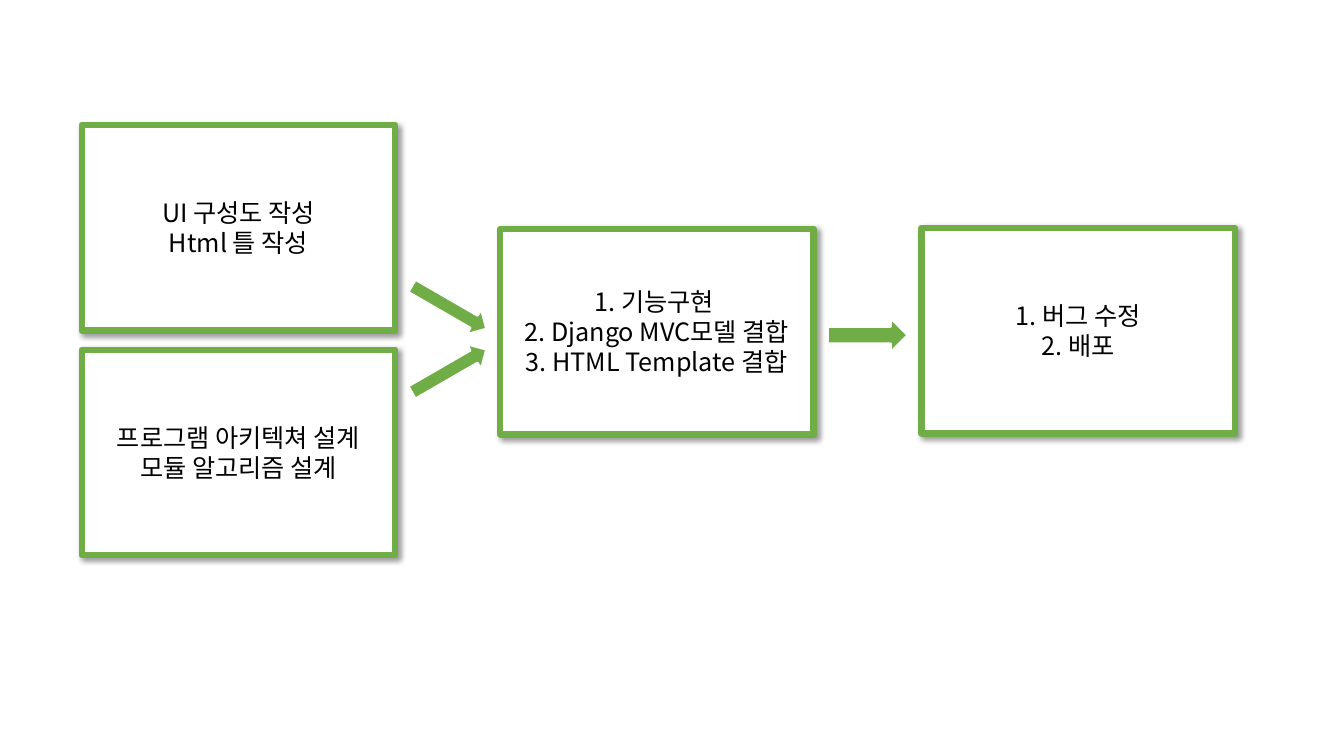
from dataclasses import dataclass

from lxml import etree
from pptx import Presentation
from pptx import util as u
from pptx.dml.color import RGBColor
from pptx.enum import shapes, text
from pptx.oxml.ns import qn


@dataclass(frozen=True)
class Theme:
    green: RGBColor = RGBColor(0x70, 0xAD, 0x47)
    white: RGBColor = RGBColor(0xFF, 0xFF, 0xFF)
    ink: RGBColor = RGBColor(0, 0, 0)
    font: str = "Noto Sans CJK KR"
    body: u.Pt = u.Pt(18)
    frame: u.Pt = u.Pt(4.5)
    outline: u.Pt = u.Pt(1.5)


THEME = Theme()

# The slide is a grid of 100 columns by 100 rows
WIDTH, HEIGHT = u.Inches(13.33), u.Inches(7.5)
COLUMN, ROW = WIDTH / 100, HEIGHT / 100
CARD_SIZE = (23.33, 27.2)
MERGE_SIZE = (6.38, 3.73)
NEXT_SIZE = (5.93, 4.4)


def add_block(page, kind, place, size, fill, line, weight):
    """Add a preset shape at a grid place."""
    left, top = place
    columns, rows = size
    block = page.shapes.add_shape(
        kind, round(left * COLUMN), round(top * ROW), round(columns * COLUMN), round(rows * ROW))
    block.shadow.inherit = False
    block.fill.solid()
    block.fill.fore_color.rgb = fill
    block.line.color.rgb = line
    block.line.width = weight
    return block


def add_shadow(block):
    """Cast a soft shadow to the lower right."""
    effects = block._element.spPr.find(qn("a:effectLst"))
    shadow = etree.SubElement(
        effects, qn("a:outerShdw"), blurRad=str(u.Pt(4)), dist=str(u.Pt(3)),
        dir=str(45 * 60000), algn="tl", rotWithShape="0")
    color = etree.SubElement(shadow, qn("a:srgbClr"), val=str(THEME.ink))
    etree.SubElement(color, qn("a:alpha"), val="40000")


def add_card(page, place, lines):
    """Add a framed card with centred lines."""
    card = add_block(page, shapes.MSO_SHAPE.RECTANGLE, place, CARD_SIZE,
                     THEME.white, THEME.green, THEME.frame)
    add_shadow(card)
    frame = card.text_frame
    frame.word_wrap = True
    frame.vertical_anchor = text.MSO_ANCHOR.MIDDLE
    frame.text = "\n".join(lines)
    for para in frame.paragraphs:
        para.alignment = text.PP_ALIGN.CENTER
        para.font.size = THEME.body
        para.font.color.rgb = THEME.ink
        para.font.name = THEME.font
        properties = para._p.pPr.find(qn("a:defRPr"))
        etree.SubElement(properties, qn("a:ea"), typeface=THEME.font)


def add_arrow(page, place, size, angle=0):
    """Add a block arrow turned by an angle."""
    arrow = add_block(page, shapes.MSO_SHAPE.RIGHT_ARROW, place, size,
                      THEME.green, THEME.white, THEME.outline)
    arrow.rotation = angle


def add_design_stage(page, left, top):
    """Two parallel design cards, with arrows that merge to the right."""
    add_card(page, (left, top), ["UI 구성도 작성", "Html 틀 작성"])
    add_card(page, (left, top + 29.73), ["프로그램 아키텍쳐 설계", "모듈 알고리즘 설계"])
    for rows_down, angle in ((22.27, 30), (30.67, 330)):
        add_arrow(page, (left + 24.15, top + rows_down), MERGE_SIZE, angle)


def add_build_stage(page, left, top):
    """The implementation card, with an arrow to the next stage."""
    add_card(page, (left, top),
             ["1. 기능구현 ", "2. Django MVC모델 결합", "3. HTML Template 결합"])
    add_arrow(page, (left + 24.38, top + 11.87), NEXT_SIZE)


def add_release_stage(page, left, top):
    """The final card."""
    add_card(page, (left, top), ["1. 버그 수정", "2. 배포"])


def main():
    deck = Presentation()
    deck.slide_width, deck.slide_height = WIDTH, HEIGHT
    page = deck.slides.add_slide(deck.slide_layouts[6])
    # Stages from left to right
    add_design_stage(page, 6.08, 16.53)
    add_build_stage(page, 37.21, 30.27)
    add_release_stage(page, 68.57, 30.13)
    deck.save("out.pptx")


if __name__ == "__main__":
    main()
